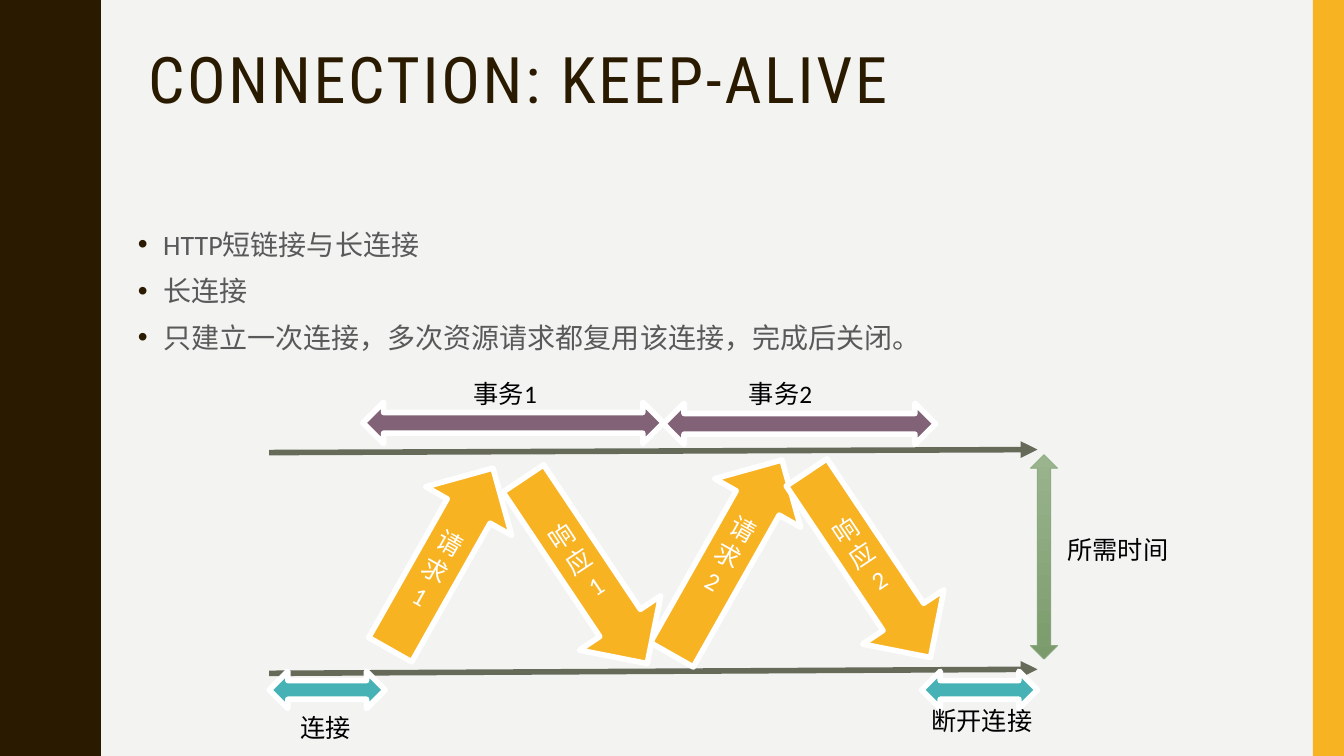
import pptx
import pptx.util
import pptx.dml.color
import pptx.enum.shapes
import pptx.enum.text
import pptx.oxml
import pptx.oxml.ns
import lxml.etree

Inches = pptx.util.Inches
Pt = pptx.util.Pt
RGBColor = pptx.dml.color.RGBColor
Shape = pptx.enum.shapes.MSO_SHAPE
Anchor = pptx.enum.text.MSO_ANCHOR
Align = pptx.enum.text.PP_ALIGN

PAPER = RGBColor(0xF3, 0xF3, 0xF2)
BROWN = RGBColor(0x2A, 0x1A, 0x00)
AMBER = RGBColor(0xF8, 0xB3, 0x23)
GRAY = RGBColor(0x59, 0x59, 0x59)
OLIVE = RGBColor(0x65, 0x6A, 0x59)
TEAL = RGBColor(0x46, 0xB2, 0xB5)
PURPLE = RGBColor(0x82, 0x62, 0x76)
GREEN_LIGHT = RGBColor(0x9A, 0xB4, 0x8E)
GREEN_DARK = RGBColor(0x7B, 0x9B, 0x6C)
GREEN_EDGE = RGBColor(0x8C, 0xAA, 0x7E)
WHITE = RGBColor(0xFF, 0xFF, 0xFF)
BLACK = RGBColor(0x00, 0x00, 0x00)

WAVE_PERIOD = 1.5
WAVE_RISE = [(0.78, 0), (0.78, 0.07), (0.79, 0.14), (0.8, 0.2), (0.81, 0.25),
             (0.83, 0.29), (0.85, 0.33), (0.87, 0.38), (0.89, 0.42), (0.91, 0.46),
             (0.93, 0.5), (0.95, 0.55), (0.96, 0.61), (0.97, 0.68)]


def add_element(parent, tag, **attributes):
    element = lxml.etree.SubElement(parent, pptx.oxml.ns.qn(tag))
    for name, value in attributes.items():
        element.set(name, value)
    return element


def set_font(para, size, color, face="Calibri"):
    para.font.size = Pt(size)
    para.font.name = face
    para.font.color.rgb = color


def add_text_box(page, left, top, width, height):
    box = page.shapes.add_textbox(Inches(left), Inches(top), Inches(width), Inches(height))
    box.text_frame.word_wrap = True
    return box


def add_label(page, text, left, top):
    box = add_text_box(page, left, top, 1.44, 0.41)
    para = box.text_frame.paragraphs[0]
    para.text = text
    set_font(para, 18, BLACK)


def add_block(page, kind, left, top, width, height, color):
    block = page.shapes.add_shape(
        kind, Inches(left), Inches(top), Inches(width), Inches(height))
    block.shadow.inherit = False
    block.fill.solid()
    block.fill.fore_color.rgb = color
    block.line.color.rgb = WHITE
    block.line.width = Pt(4)
    return block


def add_message(page, kind, lines, left, top, width, height, angle):
    arrow = add_block(page, kind, left, top, width, height, AMBER)
    arrow.rotation = angle
    frame = arrow.text_frame
    frame.word_wrap = True
    frame.vertical_anchor = Anchor.MIDDLE
    for index, line in enumerate(lines):
        para = frame.paragraphs[0] if index == 0 else frame.add_paragraph()
        para.text = line
        para.alignment = Align.CENTER
        set_font(para, 18, WHITE)
    return arrow


def add_time_axis(page, left, start, right, end):
    axis = page.shapes.add_connector(
        pptx.enum.shapes.MSO_CONNECTOR.STRAIGHT,
        Inches(left), Inches(start), Inches(right), Inches(end))
    axis.line.color.rgb = OLIVE
    axis.line.width = Pt(4)
    add_element(axis.line._get_or_add_ln(), "a:tailEnd", type="triangle")
    add_element(axis._element.spPr, "a:effectLst")


def draw_frame(page, width, height):
    page.background.fill.solid()
    page.background.fill.fore_color.rgb = PAPER
    fall = [(0.97, WAVE_PERIOD / 2)]
    fall += [(x, WAVE_PERIOD - y) for x, y in reversed(WAVE_RISE[1:])]
    edge = [(x, y + WAVE_PERIOD * turn)
            for turn in range(round(height / WAVE_PERIOD)) for x, y in WAVE_RISE + fall]
    builder = page.shapes.build_freeform(0, 0, scale=Inches(1))
    builder.add_line_segments(edge + [(0.78, height), (0, height)], close=True)
    wave = builder.convert_to_shape()
    stripe = add_block(page, Shape.RECTANGLE, width - 0.31, 0, 0.31, height, AMBER)
    for part, color in ((wave, BROWN), (stripe, AMBER)):
        part.shadow.inherit = False
        part.fill.solid()
        part.fill.fore_color.rgb = color
        part.line.fill.background()


def draw_title(page, left, top, width, height):
    frame = add_text_box(page, left, top, width, height).text_frame
    frame.vertical_anchor = Anchor.MIDDLE
    para = frame.paragraphs[0]
    para.line_spacing = 0.9
    span = para.add_run()
    span.text = "CONNECTION: KEEP-ALIVE"
    span._r.get_or_add_rPr().set("spc", "200")
    set_font(para, 45.9, BROWN, "Roboto Condensed")


def draw_bullets(page, left, top, width, height):
    frame = add_text_box(page, left, top, width, height).text_frame
    lines = ["HTTP短链接与长连接", "长连接", "只建立一次连接，多次资源请求都复用该连接，完成后关闭。"]
    for index, line in enumerate(lines):
        para = frame.paragraphs[0] if index == 0 else frame.add_paragraph()
        para.text = line
        para.line_spacing = 1.1
        para.space_before = Pt(7 if index else 0)
        properties = para._p.get_or_add_pPr()
        properties.set("marL", str(Inches(0.25)))
        properties.set("indent", str(-Inches(0.25)))
        add_element(add_element(properties, "a:buClr"), "a:srgbClr", val=str(BROWN))
        add_element(properties, "a:buFont", typeface="Arial")
        add_element(properties, "a:buChar", char="•")
        set_font(para, 20, GRAY)


def draw_timeline(page, left, top):
    for start, end in ((0.79, 0.76), (2.98, 2.94)):
        add_time_axis(page, left, top + start, left + 7.62, top + end)

    add_message(page, Shape.UP_ARROW, ["请求1"], left + 1.22, top + 0.81, 0.98, 2.07, 29.5)
    second = add_message(
        page, Shape.UP_ARROW, ["请求2"], left + 4.05, top + 0.72, 0.98, 2.22, 29.5)
    second.text_frame.margin_bottom = Inches(0.35)
    for number, x, y in (("1", 2.65, 0.86), ("2", 5.46, 0.8)):
        add_message(page, Shape.DOWN_ARROW, ["响应", number],
                    left + x, top + y, 0.97, 2.21, 326.2)

    for x, y, width, height, color in (
            (0, 2.96, 1.15, 0.37, TEAL), (0.93, 0.29, 2.98, 0.41, PURPLE),
            (3.91, 0.3, 2.7, 0.41, PURPLE), (6.47, 2.96, 1.15, 0.37, TEAL)):
        add_block(page, Shape.LEFT_RIGHT_ARROW, left + x, top + y, width, height, color)

    duration = add_block(
        page, Shape.UP_DOWN_ARROW, left + 7.55, top + 0.81, 0.27, 2.03, GREEN_LIGHT)
    duration.fill.gradient()
    duration.fill.gradient_angle = 270
    for stop, color in zip(duration.fill.gradient_stops, (GREEN_LIGHT, GREEN_DARK)):
        stop.color.rgb = color
    duration.line.color.rgb = GREEN_EDGE
    duration.line.width = Pt(0.5)

    for text, x, y in (("连接", 0.21, 3.32), ("事务1", 1.93, 0), ("事务2", 4.66, 0),
                       ("所需时间", 7.82, 1.55), ("断开连接", 6.47, 3.25)):
        add_label(page, text, left + x, top + y)


def main():
    deck = pptx.Presentation()
    deck.slide_width = Inches(13.33)
    deck.slide_height = Inches(7.5)
    page = deck.slides.add_slide(deck.slide_layouts[6])
    draw_frame(page, 13.33, 7.5)
    draw_title(page, 1.37, 0.42, 11.13, 0.81)
    draw_bullets(page, 1.27, 2.17, 11.13, 3.93)
    draw_timeline(page, 2.67, 3.7)
    deck.save("out.pptx")


if __name__ == "__main__":
    main()
